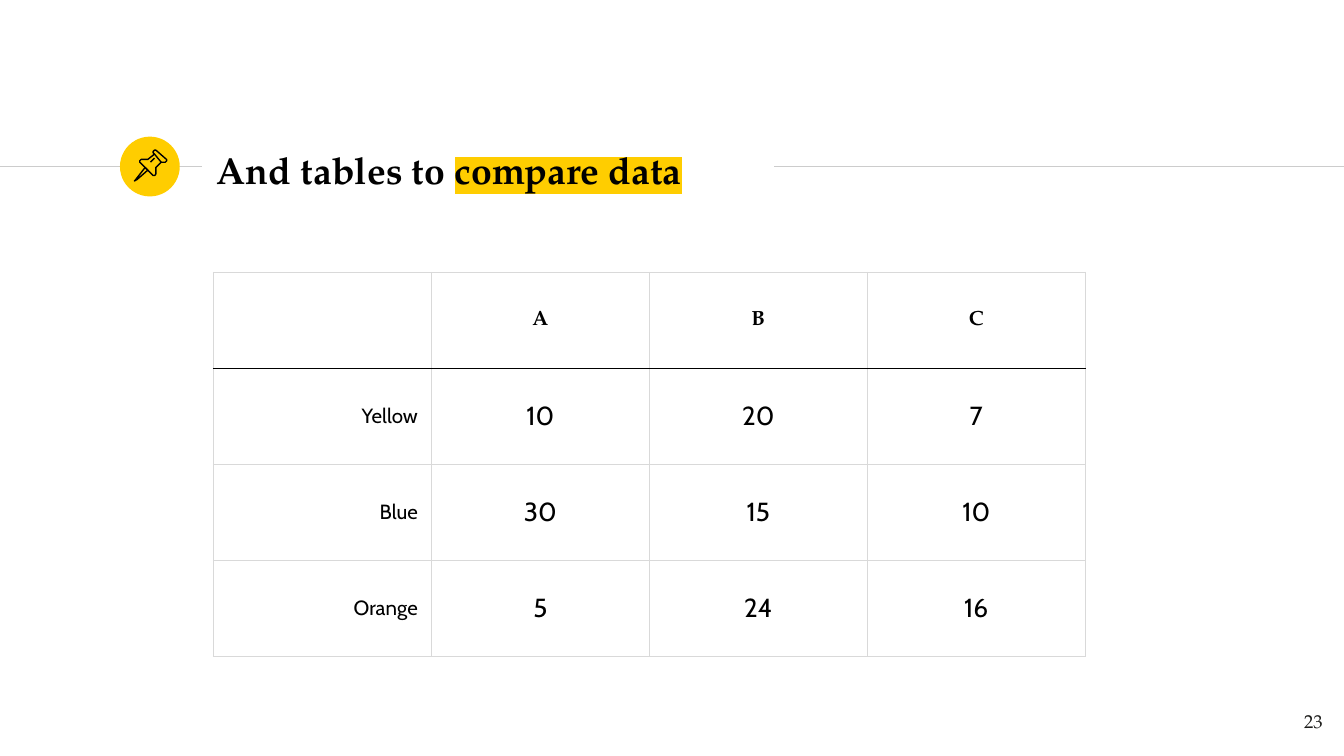
from collections import namedtuple

from lxml.etree import SubElement
from pptx import Presentation
from pptx.dml.color import RGBColor
from pptx.enum.shapes import MSO_CONNECTOR, MSO_SHAPE
from pptx.enum.text import MSO_ANCHOR, PP_ALIGN
from pptx.oxml.ns import qn
from pptx.util import Inches, Pt

BLACK = RGBColor(0x00, 0x00, 0x00)
YELLOW = RGBColor(0xFF, 0xCD, 0x00)
RULE_GREY = RGBColor(0xCC, 0xCC, 0xCC)
GRID_GREY = RGBColor(0xD9, 0xD9, 0xD9)
INK = RGBColor(0x1D, 0x1D, 0x1B)
SERIF = "TeX Gyre Pagella"
SANS = "Cabin"
UNIT = Inches(0.1)
COLS, ROWS = 100, 56.25
LINE_WIDTH = Pt(0.75)

Box = namedtuple("Box", "left top width height")

PIN_GRID = 24
PIN_PARTS = [
    ([(8, 13), (1, 22), (0, 23), (2, 22), (10, 15)], True),
    ([(15, 3), (20, 9), (21, 9), (22, 9), (23, 9), (24, 8), (24, 7),
      (16, 0), (15, 0), (14, 1), (14, 2)], True),
    ([(15, 3), (10, 7), (9, 7), (7, 7), (5, 7), (4, 8), (4, 9), (14, 19),
      (15, 19), (16, 18), (16, 14), (16, 13), (20, 9)], False),
    ([(12, 9), (15, 6)], False),
]
DATA = [
    ["", "A", "B", "C"],
    ["Yellow", "10", "20", "7"],
    ["Blue", "30", "15", "10"],
    ["Orange", "5", "24", "16"],
]


def grid_box(col, row, cols, rows):
    """Return the box that covers the given columns and rows of the slide grid."""
    return Box(*(int(n * UNIT) for n in (col, row, cols, rows)))


def add_run(p, text, size, font, color, bold=False, highlight=None):
    """Append one formatted run to a paragraph."""
    r = p.add_run()
    r.text = text
    r.font.size = Pt(size)
    r.font.bold = bold
    r.font.color.rgb = color
    if highlight is not None:
        mark = SubElement(r.font._element, qn("a:highlight"))
        SubElement(mark, qn("a:srgbClr"), val=str(highlight))
    r.font.name = font


def add_text_box(s, box, anchor, align):
    """Add a wrapping text box and return its first paragraph."""
    tf = s.shapes.add_textbox(*box).text_frame
    tf.word_wrap = True
    tf.vertical_anchor = anchor
    tf.margin_left = tf.margin_right = tf.margin_top = tf.margin_bottom = UNIT
    p = tf.paragraphs[0]
    p.alignment = align
    return p


def add_rule(s, box):
    """Draw a horizontal grey rule along the top of the box."""
    line = s.shapes.add_connector(
        MSO_CONNECTOR.STRAIGHT, box.left, box.top, box.left + box.width, box.top)
    line.line.color.rgb = RULE_GREY
    line.line.width = LINE_WIDTH
    SubElement(line._element.spPr, qn("a:effectLst"))


def add_badge(s, box):
    """Draw the yellow disc that fills the box."""
    sp = s.shapes.add_shape(MSO_SHAPE.OVAL, *box)
    sp.shadow.inherit = False
    sp.fill.solid()
    sp.fill.fore_color.rgb = YELLOW
    sp.line.fill.background()


def add_pin(s, box):
    """Draw the outlined push pin as a group scaled to the box."""
    group = s.shapes.add_group_shape()
    for (start, *rest), closed in PIN_PARTS:
        builder = group.shapes.build_freeform(*start, scale=box.width / PIN_GRID)
        builder.add_line_segments(rest, close=closed)
        sp = builder.convert_to_shape(box.left, box.top)
        sp.shadow.inherit = False
        sp.fill.background()
        sp.line.color.rgb = BLACK
        sp.line.width = LINE_WIDTH


def add_title(s, box):
    """Place the heading with its highlighted ending."""
    p = add_text_box(s, box, MSO_ANCHOR.MIDDLE, PP_ALIGN.LEFT)
    add_run(p, "And tables to ", 20, SERIF, BLACK, bold=True)
    add_run(p, "compare data", 20, SERIF, BLACK, bold=True, highlight=YELLOW)


def set_borders(cell, colors):
    """Give a cell its left, right, top and bottom border colours."""
    tc_pr = cell._tc.get_or_add_tcPr()
    for i, (side, color) in enumerate(zip("LRTB", colors)):
        ln = SubElement(tc_pr, qn(f"a:ln{side}"), w=str(LINE_WIDTH))
        fill = SubElement(ln, qn("a:solidFill"))
        SubElement(fill, qn("a:srgbClr"), val=str(color))
        tc_pr.remove(ln)
        tc_pr.insert(i, ln)


def add_data_table(s, box):
    """Place the comparison table with equal columns and rows."""
    n_rows, n_cols = len(DATA), len(DATA[0])
    table = s.shapes.add_table(n_rows, n_cols, *box).table
    table.first_row = table.horz_banding = False
    for i, values in enumerate(DATA):
        for j, value in enumerate(values):
            cell = table.cell(i, j)
            cell.fill.background()
            cell.vertical_anchor = MSO_ANCHOR.MIDDLE
            cell.margin_left = cell.margin_right = UNIT
            cell.margin_top = cell.margin_bottom = Inches(0.07)
            set_borders(cell, (GRID_GREY, GRID_GREY,
                               BLACK if i == 1 else GRID_GREY,
                               BLACK if i == 0 else GRID_GREY))
            if not value:
                continue
            p = cell.text_frame.paragraphs[0]
            p.alignment = PP_ALIGN.CENTER if j else PP_ALIGN.RIGHT
            size = 14 if i and j else 11
            add_run(p, value, size, SANS if i else SERIF, BLACK, bold=i == 0)


def add_page_number(s, box):
    """Place the right-aligned slide number."""
    p = add_text_box(s, box, MSO_ANCHOR.TOP, PP_ALIGN.RIGHT)
    add_run(p, "23", 10, SERIF, INK)


def main():
    """Build and save the slide."""
    prs = Presentation()
    prs.slide_width, prs.slide_height = int(COLS * UNIT), int(ROWS * UNIT)
    s = prs.slides.add_slide(prs.slide_layouts[6])
    add_rule(s, grid_box(0, 12.4, 15, 0))
    add_badge(s, grid_box(8.93, 10.17, 4.45, 4.45))
    add_rule(s, grid_box(57.6, 12.4, 42.4, 0))
    add_title(s, grid_box(15.13, 10.2, 42.4, 4.8))
    add_data_table(s, grid_box(15.88, 20.27, 64.88, 28.56))
    add_pin(s, grid_box(10, 11.17, 2.4, 2.3))
    add_page_number(s, grid_box(93.4, 51.95, 6, 4.3))
    prs.save("out.pptx")


if __name__ == "__main__":
    main()
